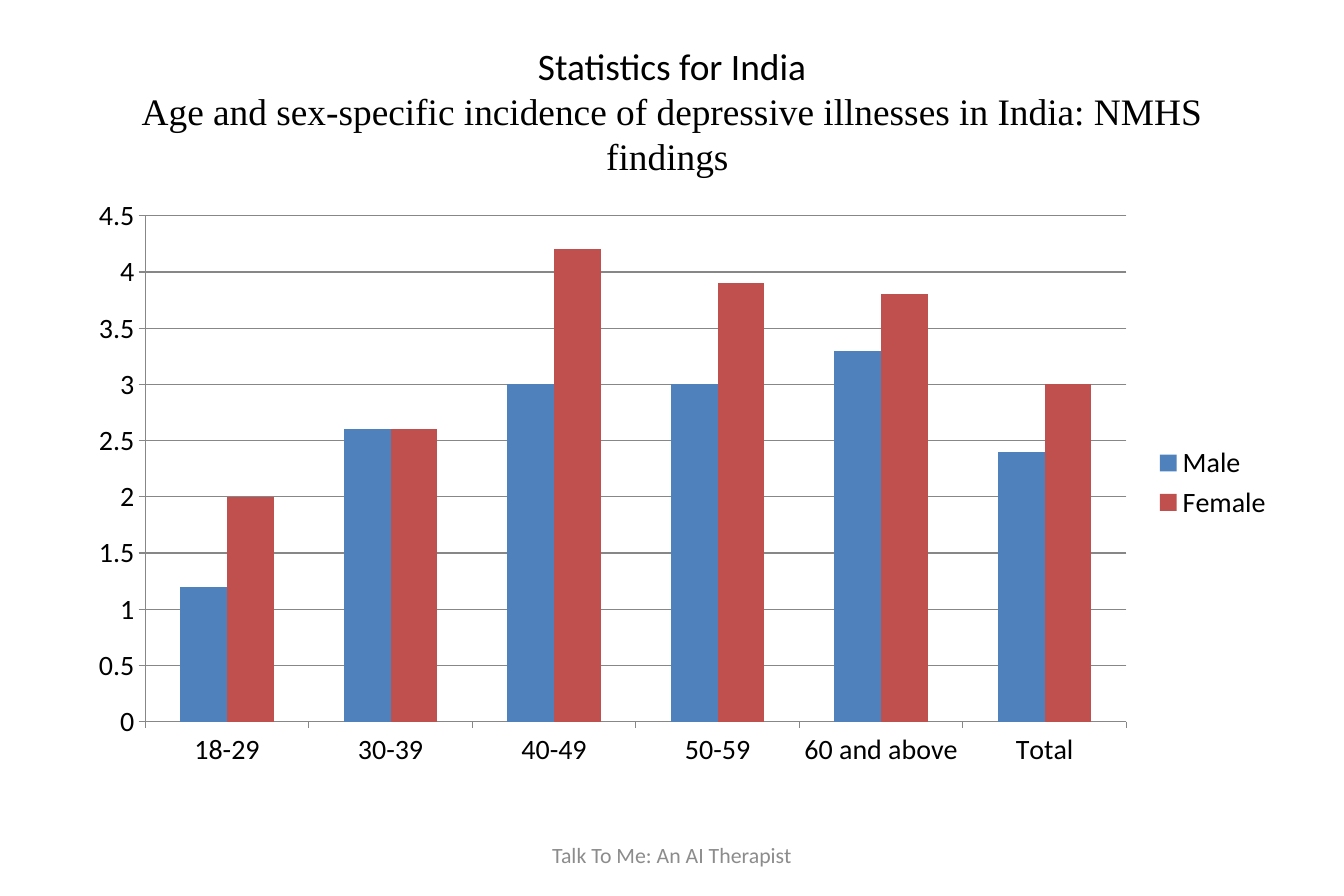
from pptx import Presentation
from pptx.chart.data import CategoryChartData
from pptx.dml.color import RGBColor
from pptx.enum.chart import XL_CHART_TYPE, XL_LEGEND_POSITION, XL_TICK_MARK
from pptx.enum.text import MSO_ANCHOR, PP_ALIGN
from pptx.util import Inches, Pt

COLORS = {"text": "000000", "footer": "8C8C8C", "axis": "878787",
          "Male": "4F81BD", "Female": "C0504D"}
AGES = ["18-29", "30-39", "40-49", "50-59", "60 and above", "Total"]
INCIDENCE = {
    "Male": [1.2, 2.6, 3, 3, 3.3, 2.4],
    "Female": [2, 2.6, 4.2, 3.9, 3.8, 3],
}

prs = Presentation()
prs.slide_width, prs.slide_height = Inches(12), Inches(8)
W, H = prs.slide_width, prs.slide_height
slide = prs.slides.add_slide(prs.slide_layouts[6])


def rgb(name):
    return RGBColor.from_string(COLORS[name])


def add_centered_text(top, width, height, text, size, color, fonts):
    """Add a box centred on the slide; each run takes the next font."""
    box = slide.shapes.add_textbox((W - width) // 2, top, width, height)
    tf = box.text_frame
    tf.word_wrap = True
    tf.vertical_anchor = MSO_ANCHOR.MIDDLE
    tf.margin_left = tf.margin_right = Inches(0.11)
    tf.margin_top = tf.margin_bottom = Inches(0.06)
    p = tf.paragraphs[0]
    p.text = text
    p.alignment = PP_ALIGN.CENTER
    for r, font in zip(p.runs, fonts):
        r.font.name = font
        r.font.size = Pt(size)
        r.font.color.rgb = rgb(color)


# Title
add_centered_text(
    int(H * 0.04), int(W * 0.9), H // 6,
    "Statistics for India\vAge and sex-specific incidence of depressive "
    "illnesses in India: NMHS findings ",
    24, "text", ["Calibri", "Times New Roman"])

# Column chart
data = CategoryChartData()
data.categories = AGES
for sex, values in INCIDENCE.items():
    data.add_series(sex, values)
chart = slide.shapes.add_chart(
    XL_CHART_TYPE.COLUMN_CLUSTERED, W // 18, Inches(1.67),
    int(W * 0.9), int(H * 0.66), data).chart
chart.has_title = False
chart.font.name = "Calibri"
chart.font.size = Pt(18)
chart.font.color.rgb = rgb("text")

plot = chart.plots[0]
plot.gap_width = 150
plot.overlap = 0
plot.vary_by_categories = False
for series in plot.series:
    series.format.fill.solid()
    series.format.fill.fore_color.rgb = rgb(series.name)

value_axis = chart.value_axis
value_axis.minimum_scale, value_axis.maximum_scale = 0, 4.5
value_axis.major_unit = 0.5
value_axis.has_major_gridlines = True
for axis in (chart.category_axis, value_axis):
    axis.major_tick_mark = XL_TICK_MARK.OUTSIDE
    axis.tick_labels.number_format = "General"
    axis.tick_labels.number_format_is_linked = False
for part in (chart.category_axis, value_axis, value_axis.major_gridlines):
    part.format.line.color.rgb = rgb("axis")
    part.format.line.width = Pt(0.7)

chart.has_legend = True
chart.legend.position = XL_LEGEND_POSITION.RIGHT
chart.legend.include_in_layout = False

# Footer
add_centered_text(Inches(7.42), Inches(3.8), Inches(0.43),
                  "Talk To Me: An AI Therapist", 14, "footer", ["Calibri"])

prs.save("out.pptx")
